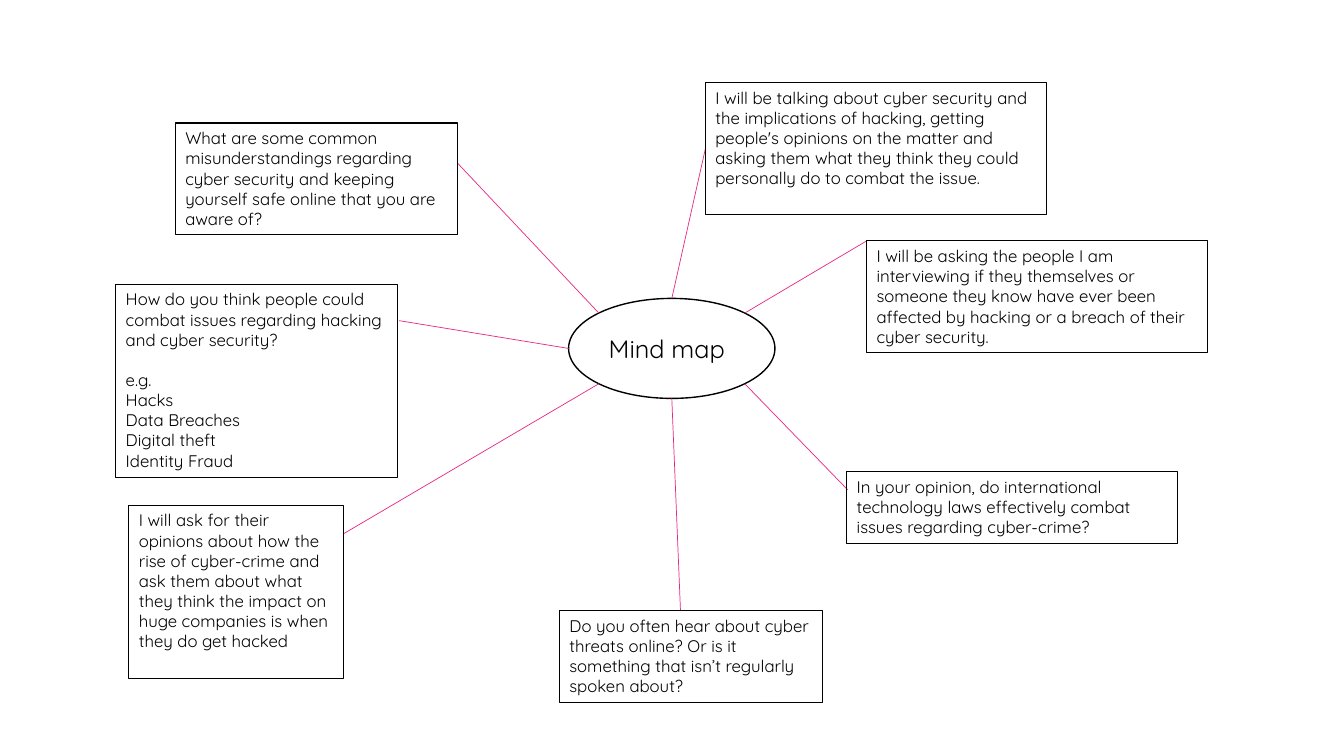
from math import cos, radians, sin

from lxml import etree
from pptx import Presentation
from pptx import util as u
from pptx.dml.color import RGBColor
from pptx.enum import shapes, text
from pptx.oxml.ns import qn

FONT = "Quicksand"
BLACK, WHITE, PINK = "000000", "FFFFFF", "E72983"
HUB_X, HUB_Y, HUB_WIDTH, HUB_HEIGHT = 16.93, 8.78, 5.2, 2.52

IDEAS = [
    ((21.84, 6.07, 8.59, 2.82), -45, (21.84, 6.07),
     ["I will be asking the people I am interviewing if they themselves or someone they know "
      "have ever been affected by hacking or a breach of their cyber security."]),
    ((21.34, 11.89, 8.33, 1.8), 45, (21.36, 12.34),
     ["In your opinion, do international technology laws effectively combat issues "
      "regarding cyber-crime?"]),
    ((14.1, 15.39, 6.63, 2.31), 90, (17.15, 15.39),
     ["Do you often hear about cyber threats online? Or is it something that isn’t "
      "regularly spoken about?"]),
    ((17.78, 2.08, 8.59, 3.33), -90, (17.78, 3.73),
     ["I will be talking about cyber security and the implications of hacking, getting "
      "people's opinions on the matter and asking them what they think they could "
      "personally do to combat the issue."]),
    ((4.42, 3.1, 7.11, 2.82), -135, (11.53, 4.11),
     ["What are some common misunderstandings regarding cyber security and keeping "
      "yourself safe online that you are aware of?"]),
    ((3.25, 12.73, 5.41, 4.37), 135, (8.64, 13.46),
     ["I will ask for their opinions about how the rise of cyber-crime and ask them about "
      "what they think the impact on huge companies is when they do get hacked"]),
    ((2.92, 7.16, 7.09, 4.88), 180, (10.06, 8.08),
     ["How do you think people could combat issues regarding hacking and cyber security?",
      "e.g.", "Hacks", "Data Breaches", "Digital theft", "Identity Fraud"]),
]


def colour(value):
    return RGBColor.from_string(value)


def lengths(values):
    return [u.Cm(value) for value in values]


def write(frame, lines, size):
    frame.word_wrap = True
    frame.vertical_anchor = text.MSO_ANCHOR.TOP
    for index, line in enumerate(lines):
        paragraph = frame.paragraphs[0] if index == 0 else frame.add_paragraph()
        paragraph.text = line
        paragraph.alignment = text.PP_ALIGN.LEFT
        paragraph.font.name = FONT
        paragraph.font.size = u.Pt(size)
        paragraph.font.color.rgb = colour(BLACK)
    if len(lines) > 1:
        frame.paragraphs[0].space_after = u.Pt(14.4)


def add_outline(slide, kind, bounds, weight):
    outline = slide.shapes.add_shape(kind, *lengths(bounds))
    outline.shadow.inherit = False
    outline.fill.background()
    outline.line.color.rgb = colour(BLACK)
    outline.line.width = u.Pt(weight)
    return outline


def add_branch(slide, angle, end):
    start = (HUB_X + HUB_WIDTH / 2 * cos(radians(angle)),
             HUB_Y + HUB_HEIGHT / 2 * sin(radians(angle)))
    branch = slide.shapes.add_connector(
        shapes.MSO_CONNECTOR.STRAIGHT, *lengths(start + end))
    branch.line.color.rgb = colour(PINK)
    branch.line.width = u.Pt(0.5)
    etree.SubElement(branch._element.spPr, qn("a:effectLst"))


def add_idea(slide, bounds, angle, end, lines):
    add_branch(slide, angle, end)
    idea = add_outline(slide, shapes.MSO_SHAPE.RECTANGLE, bounds, 0.75)
    write(idea.text_frame, lines, 12)


def add_hub(slide):
    title = slide.shapes.add_textbox(*lengths((15.09, 8.28, 11.28, 1.02)))
    write(title.text_frame, ["Mind map"], 18)
    bounds = (HUB_X - HUB_WIDTH / 2, HUB_Y - HUB_HEIGHT / 2, HUB_WIDTH, HUB_HEIGHT)
    add_outline(slide, shapes.MSO_SHAPE.OVAL, bounds, 1)


def main():
    deck = Presentation()
    deck.slide_width, deck.slide_height = lengths((33.87, 19.05))
    slide = deck.slides.add_slide(deck.slide_layouts[6])
    slide.background.fill.solid()
    slide.background.fill.fore_color.rgb = colour(WHITE)
    add_hub(slide)
    for idea in IDEAS:
        add_idea(slide, *idea)
    deck.save("out.pptx")


if __name__ == "__main__":
    main()
